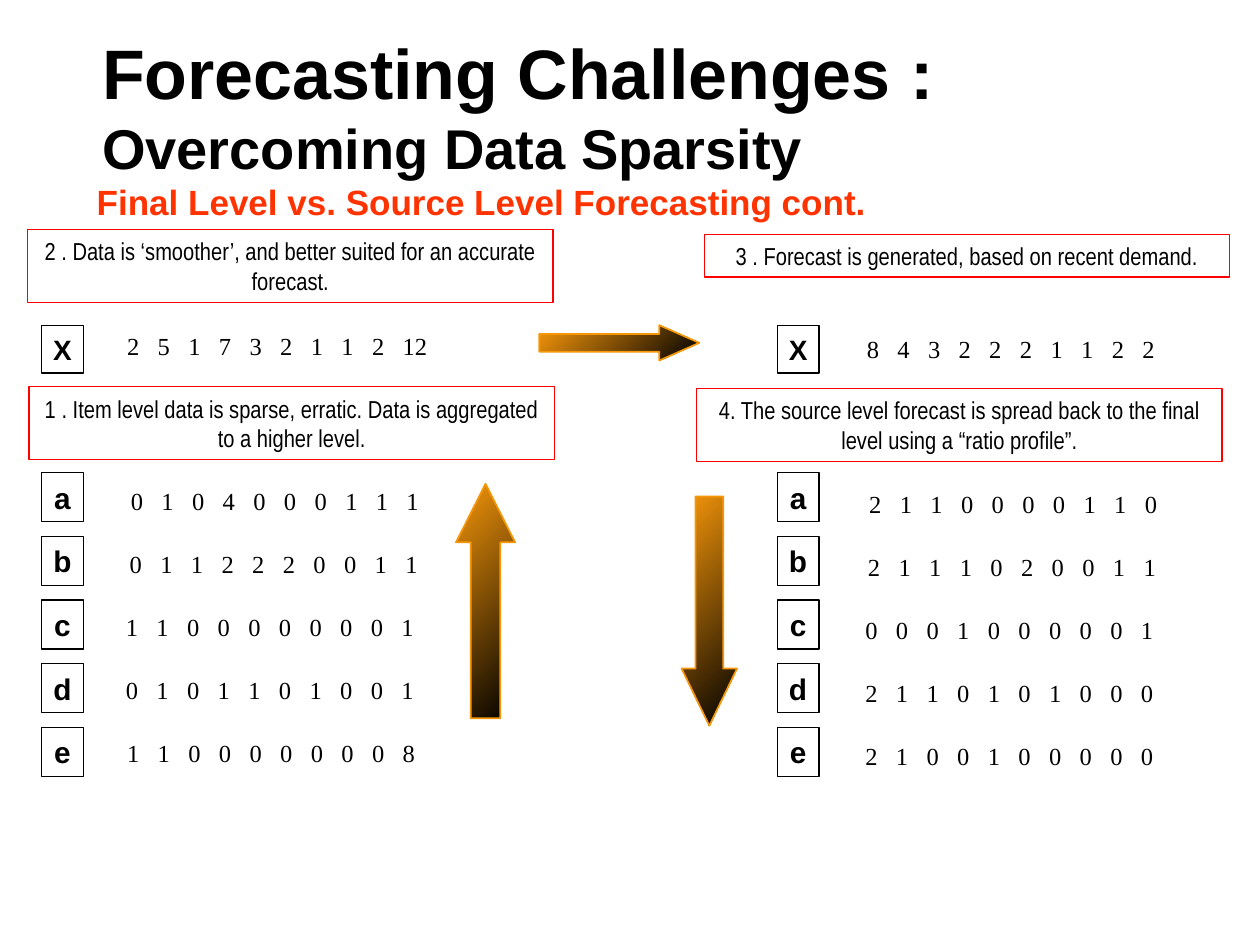
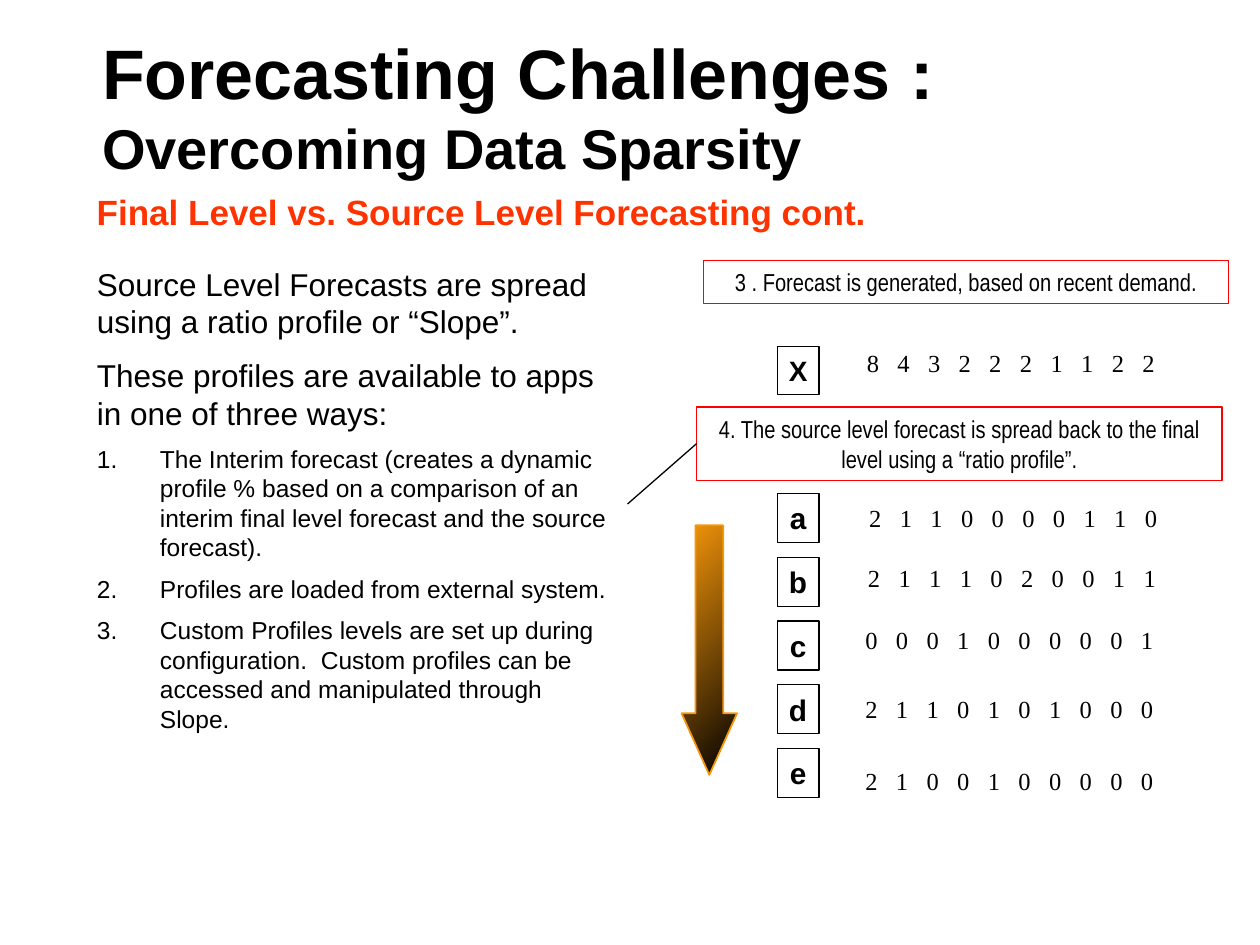
from lxml import etree
from pptx import Presentation
from pptx import util as u
from pptx.dml import color
from pptx.enum import shapes, text
from pptx.oxml import ns

BLACK = color.RGBColor(0x00, 0x00, 0x00)
RED = color.RGBColor(0xFF, 0x00, 0x00)
ORANGE_RED = color.RGBColor(0xFF, 0x33, 0x00)
AMBER = color.RGBColor(0xF6, 0x97, 0x0A)

LEFT, CENTER = text.PP_ALIGN.LEFT, text.PP_ALIGN.CENTER
TITLE = {"name": "Arial", "size": u.Pt(40), "bold": True}
SUBTITLE = {"name": "Arial", "size": u.Pt(20), "bold": True}
NOTE = {"name": "Arial Narrow", "size": u.Pt(14), "bold": False}
NUMBERS = {"name": "Times New Roman", "size": u.Pt(14), "bold": False}
LETTER = {"name": "Arial", "size": u.Pt(17), "bold": True}
SOURCE = {"name": "Arial", "size": u.Pt(16), "bold": True}
LEAD = {"name": "Arial", "size": u.Pt(18), "bold": False}
ITEM = {"name": "Arial", "size": u.Pt(14), "bold": False}

LETTERS = "abcde"
LETTER_STEP = 36.4
DIGIT_STEP = 17.5
FORECAST_NOTE = "3 . Forecast is generated, based on recent demand."
SPREAD_NOTE = ("4. The source level forecast is spread back to the final level "
               "using a “ratio profile”.")
SALES = ["0 1 0 4 0 0 0 1 1 1", "0 1 1 2 2 2 0 0 1 1", "1 1 0 0 0 0 0 0 0 1",
         "0 1 0 1 1 0 1 0 0 1", "1 1 0 0 0 0 0 0 0 8"]
FORECAST = ["2 1 1 0 0 0 0 1 1 0", "2 1 1 1 0 2 0 0 1 1", "0 0 0 1 0 0 0 0 0 1",
            "2 1 1 0 1 0 1 0 0 0", "2 1 0 0 1 0 0 0 0 0"]
SALES_TOTAL = "2 5 1 7 3 2 1 1 2 12"
FORECAST_TOTAL = "8 4 3 2 2 2 1 1 2 2"
SALES_LEFTS = [67.7, 67, 64.8, 64.8, 65.5]
FORECAST_LEFTS = [489.6, 488.9, 487.4, 487.4, 487.4]


def set_font(font, look, ink=BLACK):
    for key, value in look.items():
        setattr(font, key, value)
    font.color.rgb = ink


def add_text(page, area, words, look, outline=None, ink=BLACK, align=LEFT):
    area = [u.Pt(value) for value in area]
    if outline is None:
        box = page.shapes.add_textbox(*area)
    else:
        box = page.shapes.add_shape(shapes.MSO_SHAPE.RECTANGLE, *area)
        box.shadow.inherit = False
        box.fill.background()
        box.line.color.rgb = outline
        box.line.width = u.Pt(0.75)
    frame = box.text_frame
    frame.word_wrap = len(words) > 1
    para = frame.paragraphs[0]
    para.alignment = align
    if look is NUMBERS:
        tabs = etree.SubElement(para._p.get_or_add_pPr(), ns.qn("a:tabLst"))
        for stop in range(1, len(words.split())):
            etree.SubElement(tabs, ns.qn("a:tab"), pos=str(u.Pt(stop * DIGIT_STEP)), algn="l")
        words = words.replace(" ", "\t")
    span = para.add_run()
    span.text = words
    set_font(span.font, look, ink)
    return para


deck = Presentation()
deck.slide_width, deck.slide_height = u.Pt(720), u.Pt(540)
challenge = deck.slides.add_slide(deck.slide_layouts[5])
profiles = deck.slides.add_slide(deck.slide_layouts[1])

for page, subtitle_top in ((challenge, 102.2), (profiles, 108)):
    title = page.shapes.title
    title.left, title.top, title.width, title.height = [
        u.Pt(value) for value in (51.1, 36, 620.6, 48.2)]
    frame = title.text_frame
    frame.auto_size = text.MSO_AUTO_SIZE.NONE
    frame.vertical_anchor = text.MSO_ANCHOR.MIDDLE
    para = frame.paragraphs[0]
    para.alignment = LEFT
    for words, size in (("Forecasting Challenges : ", 40), ("Overcoming Data Sparsity", 32)):
        span = para.add_run()
        span.text = words
        set_font(span.font, {**TITLE, "size": u.Pt(size)})
    para = add_text(page, (48.2, subtitle_top, 462.2, 28.8),
                    "Final Level vs. Source Level Forecasting cont.", SUBTITLE, ink=ORANGE_RED)
    para.line_spacing = 0.9

for page, left, top, height, words in (
    (challenge, 16.6, 221, 41.8,
     "1 . Item level data is sparse, erratic. Data is aggregated to a higher level."),
    (challenge, 15.8, 131, 41.8,
     "2 . Data is ‘smoother’, and better suited for an accurate forecast."),
    (challenge, 402.5, 133.9, 24.5, FORECAST_NOTE),
    (challenge, 398.2, 221.8, 41.8, SPREAD_NOTE),
    (profiles, 402, 149, 24.5, FORECAST_NOTE),
    (profiles, 398.2, 232.6, 41.8, SPREAD_NOTE),
):
    add_text(page, (left, top, 300.2, height), words, NOTE, RED, align=CENTER)

even_tops = [36 * row for row in range(5)]
for page, box_left, source_top, letter_top, total, total_left, total_top, rows, lefts, tops in (
    (challenge, 23.8, 185.8, 270, SALES_TOTAL, 65.5, 185.8,
     SALES, SALES_LEFTS, [274.3 + top for top in even_tops]),
    (challenge, 444.2, 185.8, 270, FORECAST_TOTAL, 488.2, 187.2,
     FORECAST, FORECAST_LEFTS, [275.8 + top for top in even_tops]),
    (profiles, 444.2, 198, 282, FORECAST_TOTAL, 488.2, 195.1,
     FORECAST, FORECAST_LEFTS, [283.7, 318.2, 353.5, 393.1, 434.2]),
):
    add_text(page, (box_left, source_top, 23.8, 27.4), "X", SOURCE, BLACK, align=CENTER)
    add_text(page, (total_left, total_top, 187.9, 23.8), total, NUMBERS)
    for row, letter in enumerate(LETTERS):
        add_text(page, (box_left, letter_top + row * LETTER_STEP, 23.8, 28.1),
                 letter, LETTER, BLACK, align=CENTER)
        add_text(page, (lefts[row], tops[row], 187.9, 23.8), rows[row], NUMBERS)

for page, kind, area, head in (
    (challenge, shapes.MSO_SHAPE.UP_ARROW, (260.6, 276.5, 33.8, 133.9), 0.99),
    (challenge, shapes.MSO_SHAPE.RIGHT_ARROW, (308.2, 185.8, 91.4, 20.2), 1.13),
    (challenge, shapes.MSO_SHAPE.DOWN_ARROW, (389.5, 283.7, 31.7, 131), 1.03),
    (profiles, shapes.MSO_SHAPE.DOWN_ARROW, (389.5, 300.2, 31.7, 142.6), 1.11),
):
    arrow = page.shapes.add_shape(kind, *[u.Pt(value) for value in area])
    arrow.shadow.inherit = False
    arrow.adjustments[0], arrow.adjustments[1] = 0.5, head
    arrow.fill.gradient()
    arrow.fill.gradient_angle = 315
    for stop, shade in zip(arrow.fill.gradient_stops, (AMBER, BLACK)):
        stop.color.rgb = shade
    arrow.line.color.rgb = AMBER
    arrow.line.width = u.Pt(1)

body = profiles.placeholders[1]
body.left, body.top, body.width, body.height = [
    u.Pt(value) for value in (12.2, 147.6, 346.3, 280.8)]
frame = body.text_frame
frame.auto_size = text.MSO_AUTO_SIZE.NONE
for row, (words, look) in enumerate((
    ("Source Level Forecasts are spread using a ratio profile or “Slope”.", LEAD),
    ("These profiles are available to apps in one of three ways:", LEAD),
    ("The Interim forecast (creates a dynamic profile % based on a comparison of an "
     "interim final level forecast and the source forecast).", ITEM),
    ("Profiles are loaded from external system.", ITEM),
    ("Custom Profiles levels are set up during configuration.  Custom profiles can be "
     "accessed and manipulated through Slope.", ITEM),
)):
    para = frame.add_paragraph() if row else frame.paragraphs[0]
    numbered = look is ITEM
    para.level = int(numbered)
    para.space_before = look["size"] // 2 if row else u.Pt(0)
    layout = para._p.get_or_add_pPr()
    layout.set("marL", str(u.Pt(72 if numbered else 36)))
    layout.set("indent", str(u.Pt(-36 if numbered else 0)))
    if numbered:
        etree.SubElement(layout, ns.qn("a:buFont"), typeface="Arial")
        etree.SubElement(layout, ns.qn("a:buAutoNum"), type="arabicPeriod")
    else:
        etree.SubElement(layout, ns.qn("a:buNone"))
    span = para.add_run()
    span.text = words
    set_font(span.font, look)

pointer = profiles.shapes.add_connector(
    shapes.MSO_CONNECTOR.STRAIGHT, u.Pt(358.6), u.Pt(288), u.Pt(398.2), u.Pt(253.4))
pointer.line.color.rgb = BLACK
pointer.line.width = u.Pt(0.75)
etree.SubElement(pointer._element.spPr, ns.qn("a:effectLst"))

deck.save("out.pptx")
